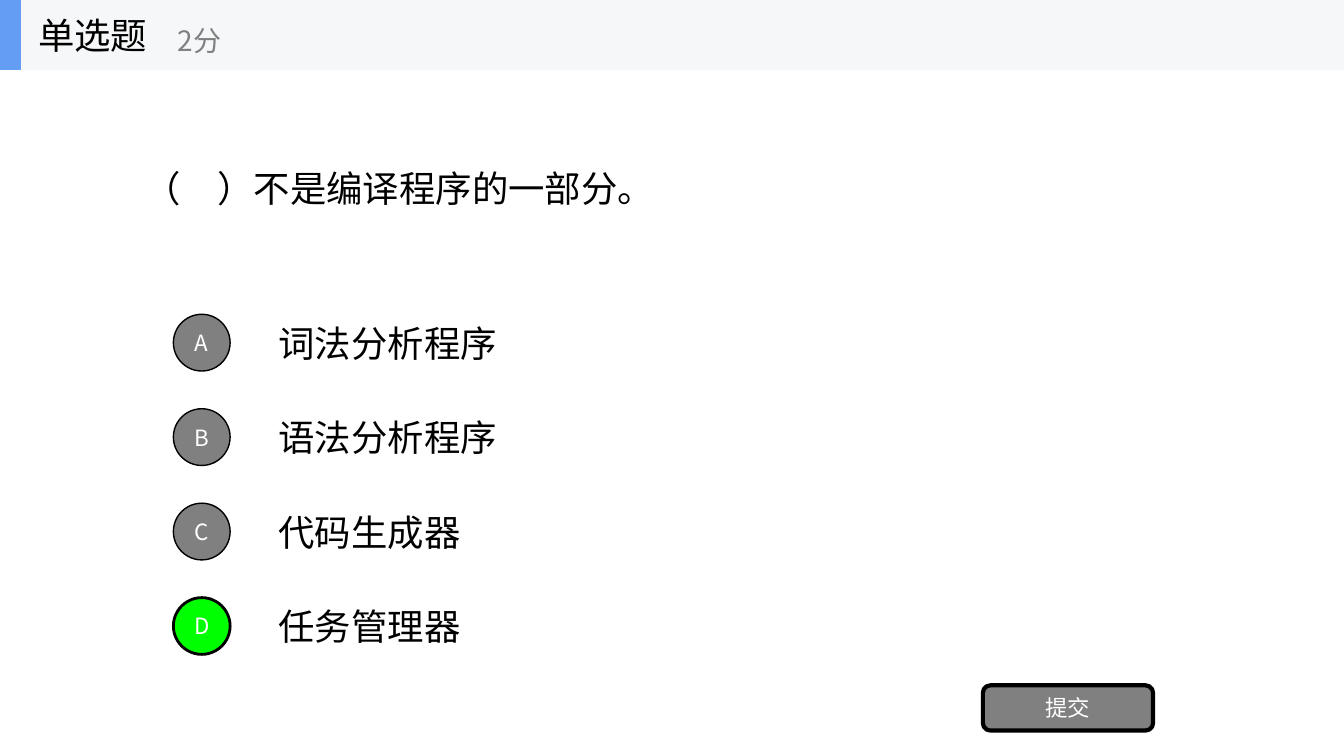
from lxml.etree import SubElement
from pptx import Presentation
from pptx.dml.color import RGBColor
from pptx.enum.shapes import MSO_SHAPE
from pptx.enum.text import MSO_ANCHOR, PP_ALIGN
from pptx.oxml.ns import qn
from pptx.util import Cm, Pt


def color(code):
    return RGBColor.from_string(code)


class Quiz:
    font = "Noto Sans CJK SC"
    black, gray, white = "000000", "808080", "FFFFFF"

    def __init__(self, slide):
        self.slide = slide

    def letter(self, shape, text, size, ink, align, wrap):
        frame = shape.text_frame
        frame.text = text
        frame.word_wrap = wrap
        frame.vertical_anchor = MSO_ANCHOR.MIDDLE
        para = frame.paragraphs[0]
        para.alignment = align
        for run in para.runs:
            run.font.size = Pt(size)
            run.font.name = self.font
            run.font.color.rgb = color(ink)
            east = SubElement(run._r.get_or_add_rPr(), qn("a:ea"))
            east.set("typeface", self.font)

    def label(self, box, text, size=26, ink=black):
        shape = self.slide.shapes.add_textbox(*map(Cm, box))
        self.letter(shape, text, size, ink, PP_ALIGN.LEFT, True)

    def block(self, kind, box, fill, line=0):
        shape = self.slide.shapes.add_shape(kind, *map(Cm, box))
        shape.shadow.inherit = False
        shape.fill.solid()
        shape.fill.fore_color.rgb = color(fill)
        if line:
            shape.line.color.rgb = color(self.black)
            shape.line.width = Pt(line)
        else:
            shape.line.fill.background()
        return shape

    def button(self, kind, box, text, fill, line):
        shape = self.block(kind, box, fill, line)
        self.letter(shape, text, 16, self.white, PP_ALIGN.CENTER, False)

    def choice(self, row, mark, text, right):
        top = 7.74 + 2.38 * row
        self.label((6.77, top, 23.71, 1.79), text)
        fill, line = ("00FF00", 2) if right else (self.gray, 1)
        box = (4.37, top + 0.18, 1.43, 1.43)
        self.button(MSO_SHAPE.OVAL, box, mark, fill, line)


def main():
    deck = Presentation()
    deck.slide_width, deck.slide_height = Cm(33.87), Cm(19.05)
    quiz = Quiz(deck.slides.add_slide(deck.slide_layouts[6]))

    quiz.block(MSO_SHAPE.RECTANGLE, (0, 0, 33.87, 1.76), "F6F7F8")
    quiz.block(MSO_SHAPE.RECTANGLE, (0, 0, 0.53, 1.76), "639EF4")
    quiz.label((0.71, 0, 5.29, 1.76), "单选题")
    quiz.label((4.23, 0.3, 6.35, 1.41), "2分", 20, Quiz.gray)
    quiz.label((3.39, 1.76, 27.09, 5.95), "（　）不是编译程序的一部分。")

    texts = ["词法分析程序", "语法分析程序", "代码生成器", "任务管理器"]
    for row, (mark, text) in enumerate(zip("ABCD", texts)):
        quiz.choice(row, mark, text, mark == "D")

    box = (24.77, 17.27, 4.29, 1.14)
    quiz.button(MSO_SHAPE.ROUNDED_RECTANGLE, box, "提交", Quiz.gray, 3)
    deck.save("out.pptx")


if __name__ == "__main__":
    main()
